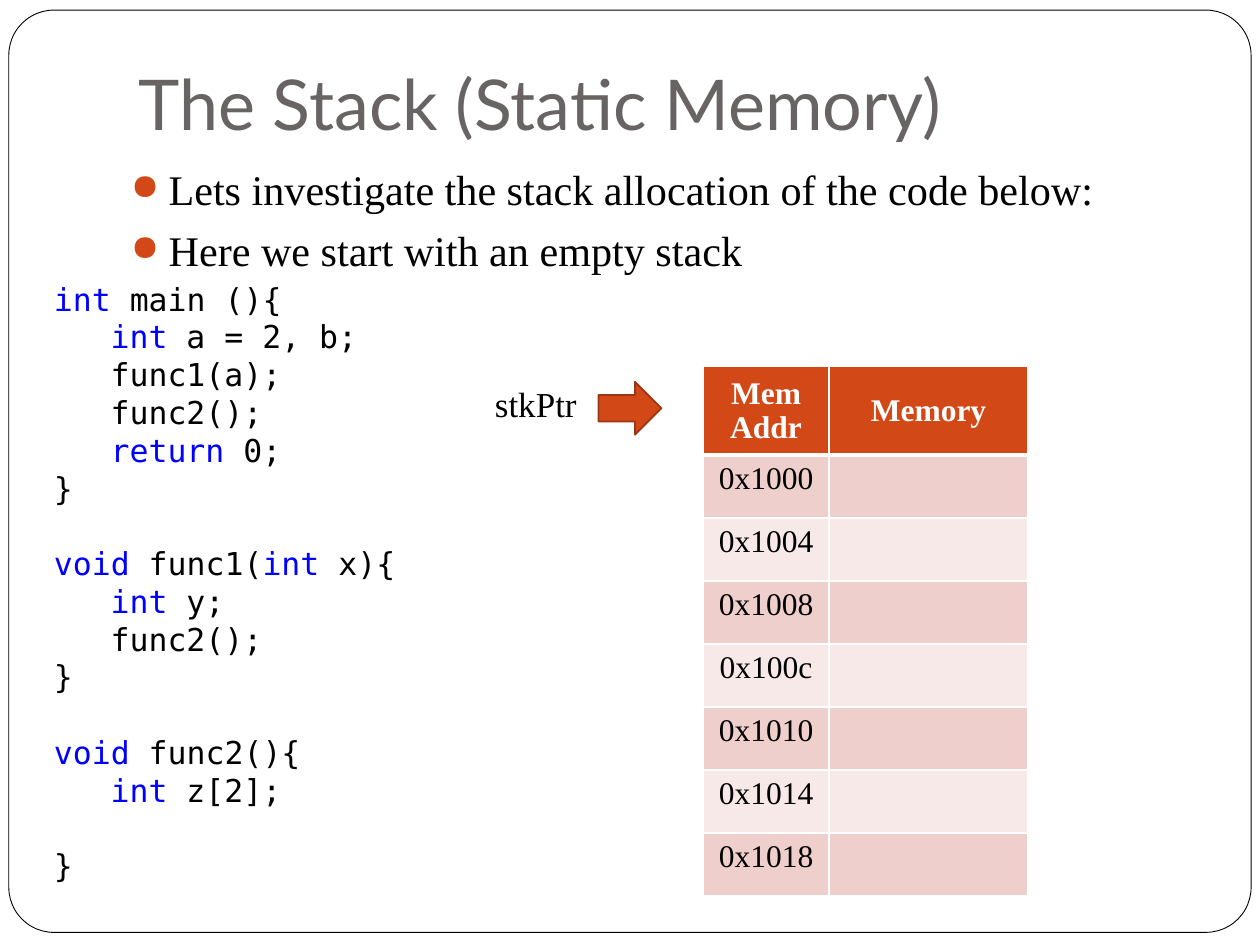
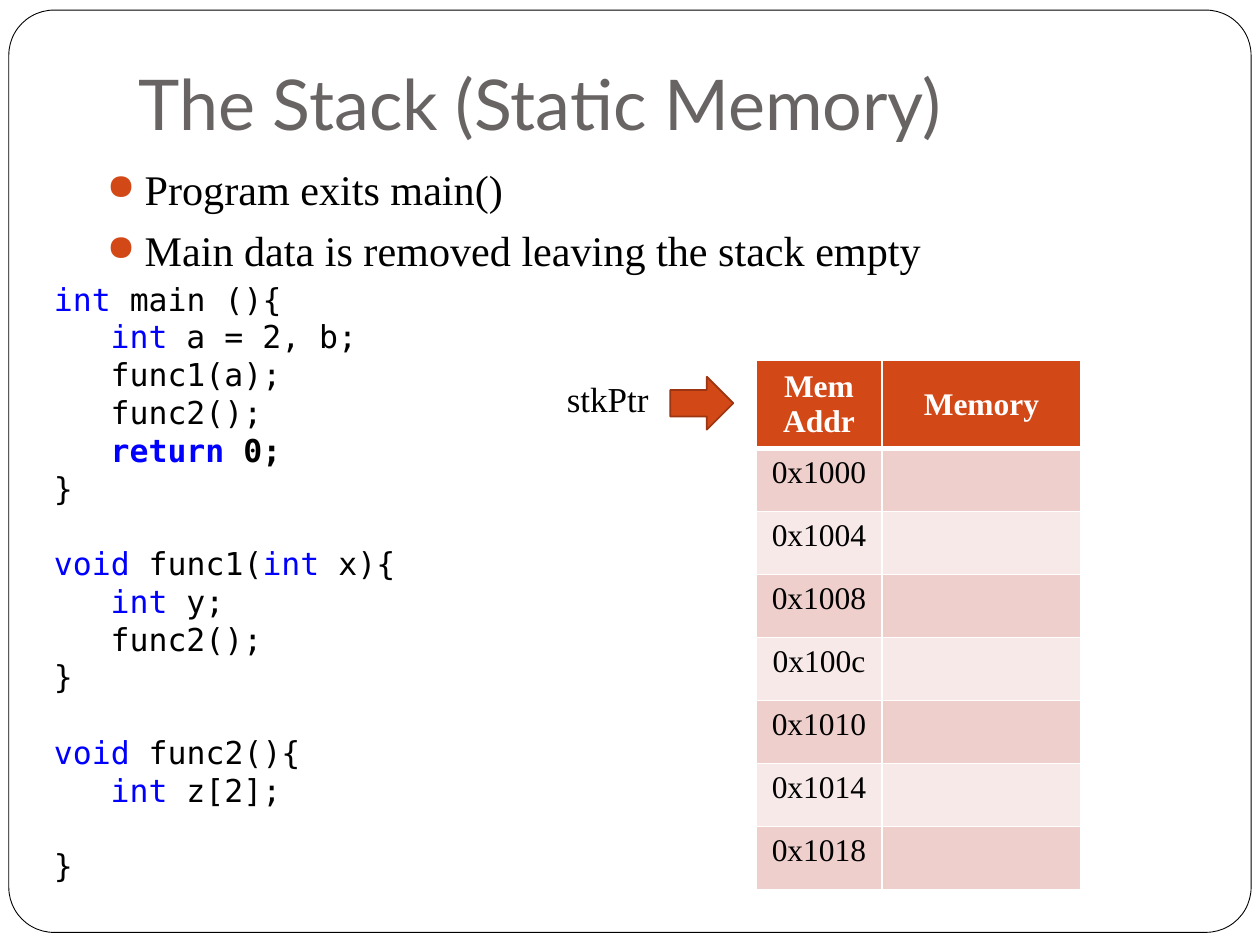
"""Builds two slides that show the call stack of a small program, empty before and after it runs."""
from dataclasses import dataclass

from lxml.etree import SubElement
from pptx import Presentation
from pptx.dml.color import RGBColor
from pptx.enum.shapes import MSO_SHAPE as Preset
from pptx.enum.text import MSO_ANCHOR as Anchor, PP_ALIGN as Align
from pptx.oxml.ns import qn
from pptx.util import Inches, Pt

BLACK = RGBColor(0x00, 0x00, 0x00)
WHITE = RGBColor(0xFF, 0xFF, 0xFF)
GREY = RGBColor(0x69, 0x64, 0x64)
ORANGE = RGBColor(0xD3, 0x48, 0x17)
RUST = RGBColor(0x9C, 0x35, 0x11)
ROSE = RGBColor(0xEF, 0xCF, 0xCC)
PALE_ROSE = RGBColor(0xF7, 0xE9, 0xE8)
BLUE = RGBColor(0x00, 0x00, 0xFF)

SERIF = "Times New Roman"
TITLE_STYLE = {"name": "Lato", "size": Pt(40), "color": GREY}
BODY_STYLE = {"name": SERIF, "size": Pt(24.1), "color": BLACK}
LABEL_STYLE = {"name": SERIF, "size": Pt(20), "color": BLACK}
CELL_STYLE = {"name": SERIF, "size": Pt(18), "color": BLACK, "bold": False}
HEAD_STYLE = CELL_STYLE | {"color": WHITE, "bold": True}
CODE_STYLE = {"name": "DejaVu Sans Mono", "size": Pt(18), "color": BLACK}
KEYWORD_STYLE = CODE_STYLE | {"color": BLUE}

TITLE = "The Stack (Static Memory)"
HEADINGS = (("Mem", "Addr"), ("Memory",))
ADDRESSES = [f"0x{address:x}" for address in range(0x1000, 0x101C, 4)]
COLUMN_WIDTHS = (1, 1.58)
HEAD_HEIGHT, ROW_HEIGHT, TABLE_HEIGHT = 0.58, 0.5, 4.23
THIN, THICK = 1, 3
CODE_GAP = Pt(21.5)


@dataclass(frozen=True)
class CodeLine:
    """One line of code, with keywords between asterisks."""
    text: str
    indented: bool = False
    gap_before: bool = False


@dataclass(frozen=True)
class StackPage:
    """What differs from one stack slide to the next."""
    bullets: tuple[str, ...]
    body_left: float
    body_width: float
    pointer_at: tuple[float, float]
    table_at: tuple[float, float]
    current_line: str = ""


RETURN_LINE = "*return* 0;"
CODE = (
    CodeLine("*int* main (){"),
    CodeLine("*int* a = 2, b;", indented=True),
    CodeLine("func1(a);", indented=True),
    CodeLine("func2();", indented=True),
    CodeLine(RETURN_LINE, indented=True),
    CodeLine("}"),
    CodeLine("*void* func1(*int* x){", gap_before=True),
    CodeLine("*int* y;", indented=True),
    CodeLine("func2();", indented=True),
    CodeLine("}"),
    CodeLine("*void* func2(){", gap_before=True),
    CodeLine("*int* z[2];", indented=True),
    CodeLine("}", gap_before=True),
)

PAGES = (
    StackPage(("Lets investigate the stack allocation of the code below:",
               "Here we start with an empty stack"),
              0.94, 8.5, (3.83, 2.99), (5.58, 2.91)),
    StackPage(("Program exits main()",
               "Main data is removed leaving the stack empty"),
              0.75, 8.83, (4.4, 2.95), (6, 2.86), RETURN_LINE),
)


def add_span(para, text: str, style: dict) -> None:
    """Add a run and set its font from a style."""
    span = para.add_run()
    span.text = text
    for key, value in style.items():
        if key == "color":
            span.font.color.rgb = value
        else:
            setattr(span.font, key, value)


def add_paras(frame, count: int) -> list:
    """Return the given number of paragraphs of an empty text frame."""
    return [frame.paragraphs[0]] + [frame.add_paragraph() for _ in range(count - 1)]


def add_box(page, left: float, top: float, width: float, height: float):
    """Add a wrapping text box and return its text frame."""
    box = page.shapes.add_textbox(Inches(left), Inches(top), Inches(width), Inches(height))
    box.text_frame.word_wrap = True
    return box.text_frame


def add_shape(page, preset: Preset, left: float, top: float, width: float, height: float,
              fill: RGBColor, line: RGBColor, weight: float):
    """Add a flat preset shape."""
    shape = page.shapes.add_shape(preset, Inches(left), Inches(top), Inches(width), Inches(height))
    shape.shadow.inherit = False
    shape.fill.solid()
    shape.fill.fore_color.rgb = fill
    shape.line.color.rgb = line
    shape.line.width = Pt(weight)
    return shape


def add_bullet(para) -> None:
    """Give a paragraph a hanging orange bullet."""
    props = para._p.get_or_add_pPr()
    props.set("marL", str(Inches(0.3)))
    props.set("indent", str(-Inches(0.3)))
    color = SubElement(props, qn("a:buClr"))
    SubElement(color, qn("a:srgbClr"), val=str(ORANGE))
    SubElement(props, qn("a:buSzPct"), val="85000")
    SubElement(props, qn("a:buChar"), char="●")


def add_frame_and_title(page) -> None:
    """Draw the rounded page border and the shared title."""
    border = add_shape(page, Preset.ROUNDED_RECTANGLE, 0.07, 0.08, 9.86, 7.32, WHITE, BLACK, 0.5)
    border.adjustments[0] = 0.049
    frame = add_box(page, 1, 0, 8.5, 1.25)
    frame.vertical_anchor = Anchor.BOTTOM
    frame.margin_bottom = Inches(0.1)
    add_span(frame.paragraphs[0], TITLE, TITLE_STYLE)


def add_body(page, spec_page: StackPage) -> None:
    """Write the bulleted statements."""
    frame = add_box(page, spec_page.body_left, 1.25, spec_page.body_width, 0.92)
    for para, text in zip(add_paras(frame, len(spec_page.bullets)), spec_page.bullets):
        para.space_before = Pt(5.8)
        add_bullet(para)
        add_span(para, text, BODY_STYLE)


def add_code(page, current_line: str) -> None:
    """Write the program with blue keywords and the current line in bold."""
    frame = add_box(page, 0.33, 2.17, 5, 4.95)
    for para, line in zip(add_paras(frame, len(CODE)), CODE):
        if line.indented:
            para._p.get_or_add_pPr().set("marL", str(Inches(0.45)))
        if line.gap_before:
            para.space_before = CODE_GAP
        for index, text in enumerate(line.text.split("*")):
            style = KEYWORD_STYLE if index % 2 else CODE_STYLE
            if text:
                add_span(para, text, style | {"bold": line.text == current_line})


def format_cell(cell, fill: RGBColor, top: float, bottom: float) -> None:
    """Give a cell white borders and a fill."""
    props = cell._tc.get_or_add_tcPr()
    for side, weight in {"lnL": THIN, "lnR": THIN, "lnT": top, "lnB": bottom}.items():
        line = SubElement(props, qn(f"a:{side}"), w=str(Pt(weight)))
        SubElement(SubElement(line, qn("a:solidFill")), qn("a:srgbClr"), val=str(WHITE))
    cell.fill.solid()
    cell.fill.fore_color.rgb = fill


def write_cell(cell, lines: tuple[str, ...], style: dict) -> None:
    """Write centred lines into a cell."""
    for para, text in zip(add_paras(cell.text_frame, len(lines)), lines):
        para.alignment = Align.CENTER
        add_span(para, text, style)


def add_memory_table(page, left: float, top: float) -> None:
    """Draw the table of memory addresses with empty contents."""
    holder = page.shapes.add_table(len(ADDRESSES) + 1, len(COLUMN_WIDTHS), Inches(left), Inches(top),
                                   Inches(sum(COLUMN_WIDTHS)), Inches(TABLE_HEIGHT))
    table = holder.table
    for column, width in zip(table.columns, COLUMN_WIDTHS):
        column.width = Inches(width)
    for number, row in enumerate(table.rows):
        row.height = Inches(ROW_HEIGHT if number else HEAD_HEIGHT)
        fill = (ROSE if number % 2 else PALE_ROSE) if number else ORANGE
        for cell in row.cells:
            format_cell(cell, fill, THICK if number == 1 else THIN, THIN if number else THICK)
    holder.height = Inches(TABLE_HEIGHT)
    for column, lines in enumerate(HEADINGS):
        cell = table.cell(0, column)
        cell.vertical_anchor = Anchor.MIDDLE
        write_cell(cell, lines, HEAD_STYLE)
    for number, address in enumerate(ADDRESSES, start=1):
        write_cell(table.cell(number, 0), (address,), CELL_STYLE)


def add_pointer(page, left: float, top: float) -> None:
    """Draw the stack pointer label and its arrow."""
    add_shape(page, Preset.RIGHT_ARROW, left + 0.92, top + 0.04, 0.5, 0.42, ORANGE, RUST, 1)
    add_span(add_box(page, left, top, 0.94, 0.44).paragraphs[0], "stkPtr", LABEL_STYLE)


def build() -> None:
    """Build and save the deck."""
    deck = Presentation()
    deck.slide_width, deck.slide_height = Inches(10), Inches(7.5)
    for stack_page in PAGES:
        page = deck.slides.add_slide(deck.slide_layouts[6])
        add_frame_and_title(page)
        add_body(page, stack_page)
        add_code(page, stack_page.current_line)
        add_memory_table(page, *stack_page.table_at)
        add_pointer(page, *stack_page.pointer_at)
    deck.save("out.pptx")


build()
